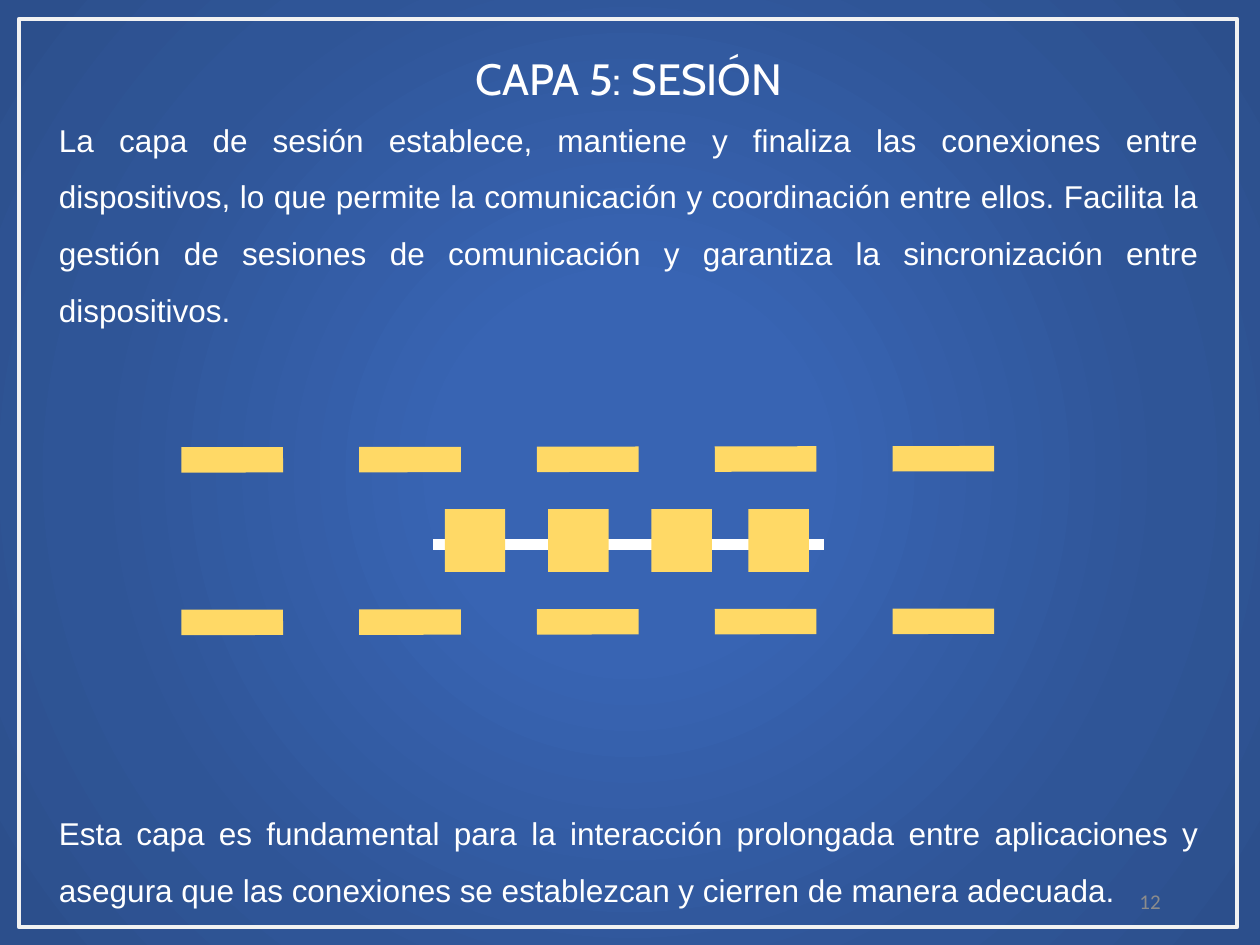
from lxml.etree import SubElement
from pptx import Presentation
from pptx.dml.color import RGBColor
from pptx.enum.dml import MSO_LINE
from pptx.enum.shapes import MSO_CONNECTOR, MSO_SHAPE
from pptx.enum.text import MSO_ANCHOR, MSO_AUTO_SIZE, PP_ALIGN
from pptx.oxml import parse_xml
from pptx.oxml.ns import nsdecls, qn
from pptx.util import Inches, Pt

COLORS = {
    "text": "FFFFFF",
    "frame": "F2F2F2",
    "session": "FFD966",
    "link": "FFFFFF",
    "number": "8C8C8C",
}
BACKGROUND_STOPS = [(0, "3864B3"), (23, "3864B3"), (69, "2F5597"), (97, "2C4F8C")]


def write_text(box, text, font, paragraph, frame):
    """Fill a box with one paragraph, formatted from dicts of attribute values."""
    text_frame = box.text_frame
    text_frame.text = text
    first = text_frame.paragraphs[0]
    run_font = first.runs[0].font
    run_font.color.rgb = RGBColor.from_string(COLORS[font["color"]])
    run_font.name = font["name"]
    run_font.size = Pt(font["size"])
    for target, values in ((first, paragraph), (text_frame, frame)):
        for attribute, value in values.items():
            setattr(target, attribute, value)


def add_line(shapes, start, end, color, width):
    line = shapes.add_connector(
        MSO_CONNECTOR.STRAIGHT, *(Inches(value) for value in (*start, *end))
    )
    line.line.color.rgb = RGBColor.from_string(COLORS[color])
    line.line.width = Pt(width)
    SubElement(line._element.spPr, qn("a:effectLst"))
    return line


prs = Presentation()
prs.slide_width, prs.slide_height = Inches(10), Inches(7.5)
slide = prs.slides.add_slide(prs.slide_layouts[5])
shapes = slide.shapes

# Radial background
stops = "".join(
    f'<a:gs pos="{position * 1000}"><a:srgbClr val="{color}"/></a:gs>'
    for position, color in BACKGROUND_STOPS
)
background = parse_xml(
    f'<p:bg {nsdecls("p", "a")}><p:bgPr><a:gradFill rotWithShape="1">'
    f"<a:gsLst>{stops}</a:gsLst>"
    '<a:path path="circle"><a:fillToRect l="50000" t="50000" r="50000" b="50000"/></a:path>'
    "</a:gradFill><a:effectLst/></p:bgPr></p:bg>"
)
slide._element.cSld.insert(0, background)

# Frame, behind everything else
frame = shapes.add_shape(
    MSO_SHAPE.RECTANGLE, Inches(0.15), Inches(0.15), Inches(9.67), Inches(7.21)
)
frame.shadow.inherit = False
frame.fill.background()
frame.line.color.rgb = RGBColor.from_string(COLORS["frame"])
frame.line.width = Pt(2.25)

# Title
title = shapes.title
title.left, title.top = Inches(-0.01), Inches(0.36)
title.width, title.height = Inches(10), Inches(0.52)
growing = {
    "word_wrap": True,
    "auto_size": MSO_AUTO_SIZE.SHAPE_TO_FIT_TEXT,
    "vertical_anchor": MSO_ANCHOR.TOP,
}
write_text(
    title,
    "CAPA 5: SESIÓN",
    {"name": "Cabin", "size": 25, "color": "text"},
    {"alignment": PP_ALIGN.CENTER},
    growing,
)

# Explanations above and below the diagram
explanations = [
    (0.76, 1.86, "La capa de sesión establece, mantiene y finaliza las conexiones entre "
     "dispositivos, lo que permite la comunicación y coordinación entre ellos. Facilita la "
     "gestión de sesiones de comunicación y garantiza la sincronización entre dispositivos."),
    (6.26, 0.95, "Esta capa es fundamental para la interacción prolongada entre aplicaciones y "
     "asegura que las conexiones se establezcan y cierren de manera adecuada."),
]
for top, height, explanation in explanations:
    write_text(
        shapes.add_textbox(Inches(0.37), Inches(top), Inches(9.24), Inches(height)),
        explanation,
        {"name": "Arial", "size": 18, "color": "text"},
        {"alignment": PP_ALIGN.JUSTIFY, "line_spacing": 1.5},
        growing,
    )

# Dashed session boundaries
for y in (3.65, 4.94):
    boundary = add_line(shapes, (1.44, y), (8.07, y - 0.01), "session", 14.5)
    boundary.line.dash_style = MSO_LINE.DASH

# Linked session blocks
session = shapes.add_group_shape()
add_line(session.shapes, (3.44, 4.32), (6.54, 4.32), "link", 6)
for left in (3.53, 4.35, 5.17, 5.94):
    block = session.shapes.add_shape(
        MSO_SHAPE.RECTANGLE, Inches(left), Inches(4.04), Inches(0.48), Inches(0.5)
    )
    block.shadow.inherit = False
    block.fill.solid()
    block.fill.fore_color.rgb = RGBColor.from_string(COLORS["session"])
    block.line.fill.background()

# Slide number
write_text(
    shapes.add_textbox(Inches(7.06), Inches(6.95), Inches(2.25), Inches(0.4)),
    "12",
    {"name": "Calibri", "size": 12, "color": "number"},
    {"alignment": PP_ALIGN.RIGHT},
    {"word_wrap": True, "vertical_anchor": MSO_ANCHOR.MIDDLE},
)

prs.save("out.pptx")
